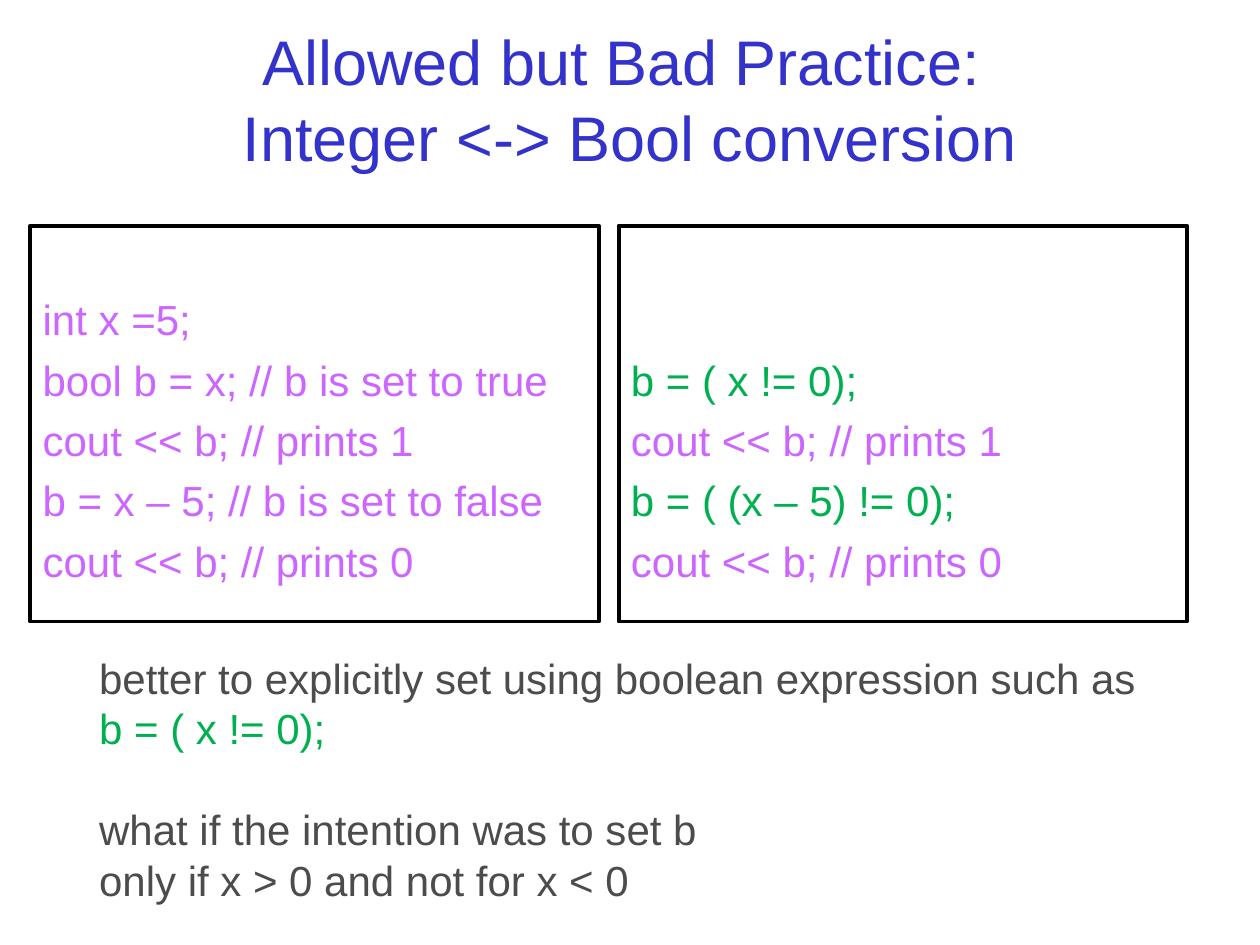
from pptx import Presentation
from pptx.dml.color import RGBColor
from pptx.enum.shapes import MSO_SHAPE
from pptx.enum.text import MSO_ANCHOR, MSO_AUTO_SIZE, PP_ALIGN
from pptx.util import Cm, Pt

HUES = {"title": "3333CC", "code": "CC66FF", "good": "00B050",
        "note": "4C4C4C", "line": "000000"}


def write(frame, lines, size, align=PP_ALIGN.LEFT, lead=None):
    """Fill a frame with (text, colour name) pairs, one paragraph each."""
    frame.word_wrap = True
    frame.text = "\n".join(text for text, hue in lines)
    for para, (text, hue) in zip(frame.paragraphs, lines):
        para.alignment = align
        para.line_spacing = lead
        for run in para.runs:
            run.font.name = "Arial"
            run.font.size = Pt(size)
            run.font.color.rgb = RGBColor.from_string(HUES[hue])


deck = Presentation()
deck.slide_width, deck.slide_height = Cm(25.4), Cm(19.05)
slide = deck.slides.add_slide(deck.slide_layouts[6])

# Title
title = slide.shapes.add_textbox(Cm(1.27), Cm(0.76), Cm(22.86), Cm(2.44)).text_frame
title.vertical_anchor = MSO_ANCHOR.MIDDLE
write(title, [("Allowed but Bad Practice: \vInteger <-> Bool conversion", "title")],
      36, PP_ALIGN.CENTER)

# Code boxes: implicit conversion beside explicit comparison
panes = [
    [("int x =5;", "code"),
     ("bool b = x; // b is set to true", "code"),
     ("cout << b; // prints 1", "code"),
     ("b = x – 5; // b is set to false", "code"),
     ("cout << b; // prints 0", "code")],
    [("b = ( x != 0);", "good"),
     ("cout << b; // prints 1", "code"),
     ("b = ( (x – 5) != 0);", "good"),
     ("cout << b; // prints 0", "code")],
]
for col, lines in enumerate(panes):
    box = slide.shapes.add_shape(MSO_SHAPE.RECTANGLE, Cm(0.61 + col * 11.86),
                                 Cm(4.55), Cm(11.46), Cm(7.98))
    box.shadow.inherit = False
    box.fill.background()
    box.line.color.rgb = RGBColor.from_string(HUES["line"])
    box.line.width = Pt(2.25)
    frame = box.text_frame
    frame.vertical_anchor = MSO_ANCHOR.BOTTOM
    frame.margin_bottom = Cm(0.72)
    write(frame, lines, 24, lead=1.2)

# Advice
note = slide.shapes.add_textbox(Cm(1.75), Cm(13.03), Cm(22.86), Cm(9.4)).text_frame
note.auto_size = MSO_AUTO_SIZE.SHAPE_TO_FIT_TEXT
write(note, [("better to explicitly set using boolean expression such as", "note"),
             ("b = ( x != 0);", "good"),
             ("what if the intention was to set b", "note"),
             ("only if x > 0 and not for x < 0", "note")], 24)
note.paragraphs[2].space_before = Pt(28.8)

deck.save("out.pptx")
